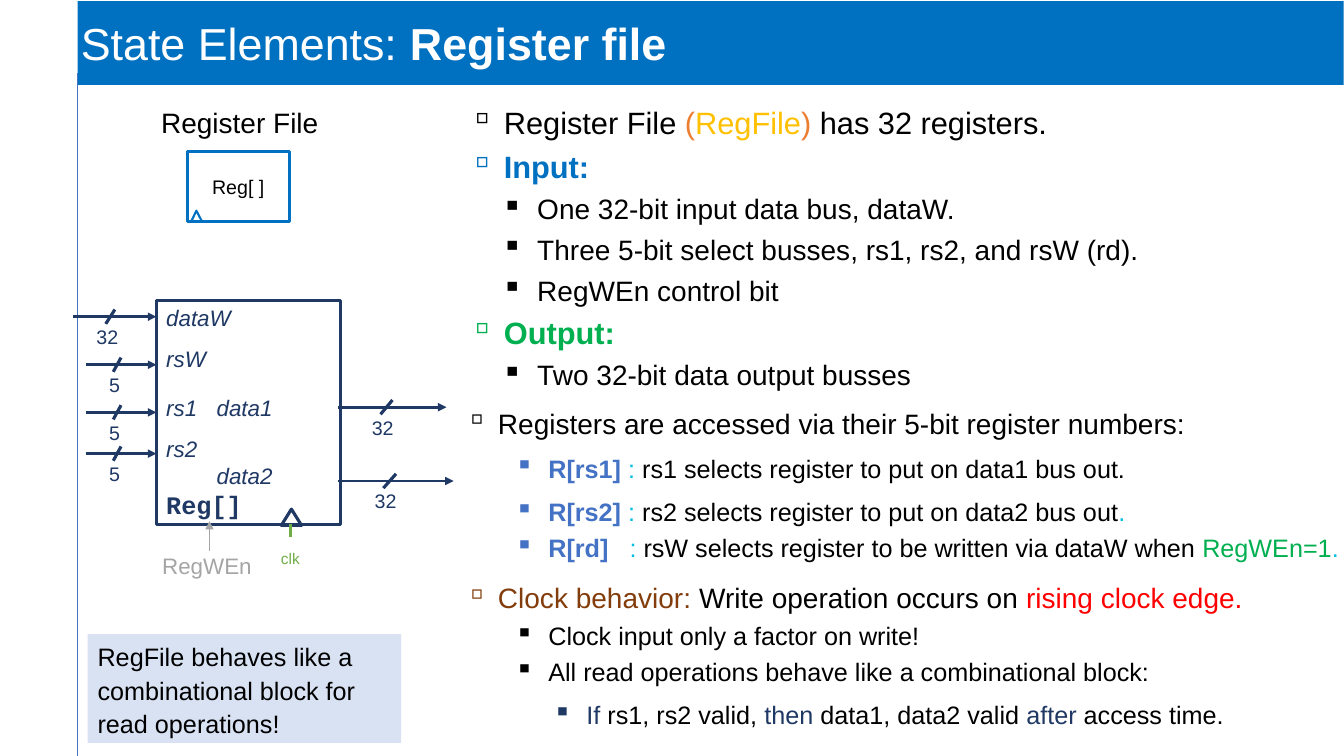
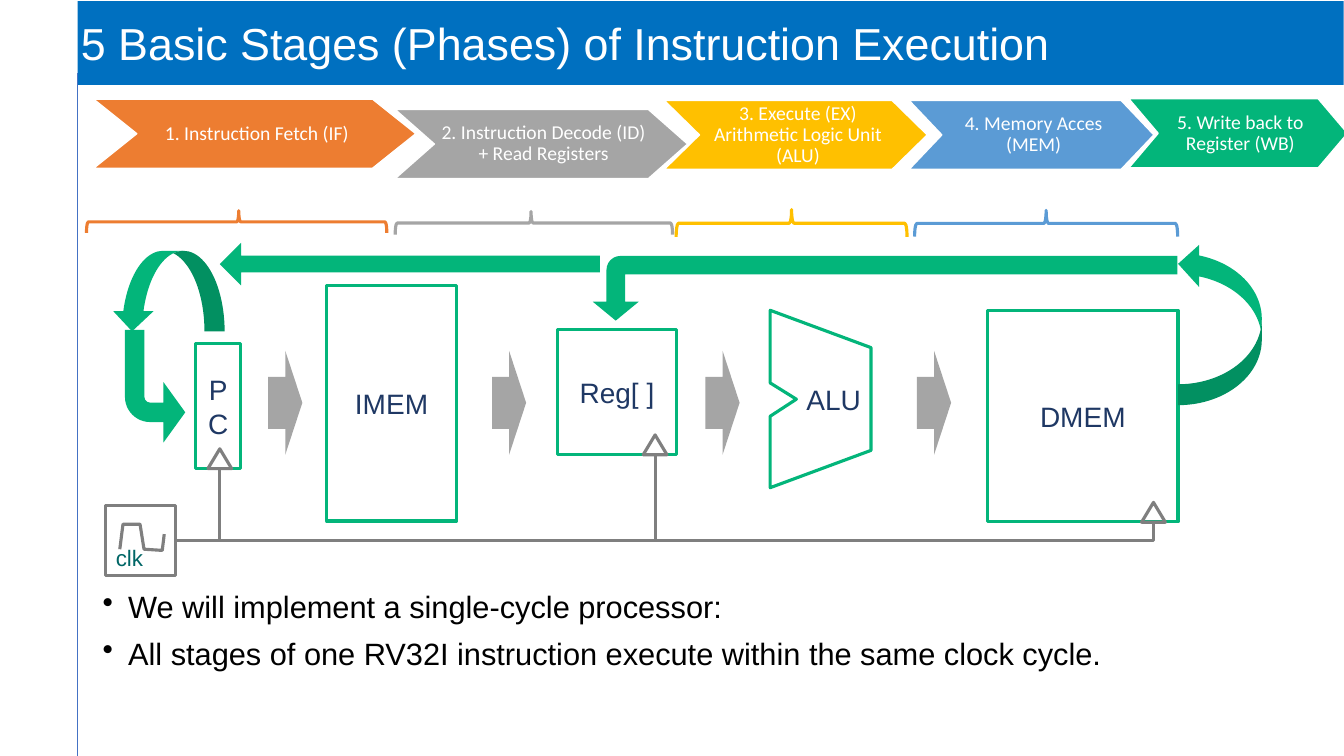
from lxml import etree
from pptx import Presentation
from pptx.dml.color import RGBColor
from pptx.enum.shapes import MSO_CONNECTOR, MSO_SHAPE
from pptx.enum.text import MSO_ANCHOR, PP_ALIGN
from pptx.oxml.ns import qn
from pptx.util import Cm, Pt

STRAIGHT, ELBOW = MSO_CONNECTOR.STRAIGHT, MSO_CONNECTOR.ELBOW
RECTANGLE, TRIANGLE = MSO_SHAPE.RECTANGLE, MSO_SHAPE.ISOSCELES_TRIANGLE
RIGHT_ARROW, LEFT_ARROW = MSO_SHAPE.RIGHT_ARROW, MSO_SHAPE.LEFT_ARROW
BENT_ARROW, BRACE = MSO_SHAPE.BENT_ARROW, MSO_SHAPE.RIGHT_BRACE
CURVED_RIGHT, CURVED_LEFT = MSO_SHAPE.CURVED_RIGHT_ARROW, MSO_SHAPE.CURVED_LEFT_ARROW
TOP, MIDDLE, BOTTOM = MSO_ANCHOR.TOP, MSO_ANCHOR.MIDDLE, MSO_ANCHOR.BOTTOM
LEFT, CENTER, RIGHT = PP_ALIGN.LEFT, PP_ALIGN.CENTER, PP_ALIGN.RIGHT
LEFT_SIDE = 1

BLACK = RGBColor(0x00, 0x00, 0x00)
WHITE = RGBColor(0xFF, 0xFF, 0xFF)
BLUE = RGBColor(0x00, 0x70, 0xC0)
ACCENT_BLUE = RGBColor(0x44, 0x72, 0xC4)
LIGHT_BLUE = RGBColor(0x5B, 0x9B, 0xD5)
PALE_BLUE = RGBColor(0xD8, 0xE2, 0xF3)
NAVY = RGBColor(0x1F, 0x38, 0x64)
CYAN = RGBColor(0x00, 0xBD, 0xE2)
ORANGE = RGBColor(0xED, 0x7D, 0x31)
GOLD = RGBColor(0xFF, 0xC0, 0x00)
BROWN = RGBColor(0x83, 0x3C, 0x0B)
RED = RGBColor(0xFF, 0x00, 0x00)
GREEN = RGBColor(0x00, 0xB0, 0x50)
LEAF_GREEN = RGBColor(0x70, 0xAD, 0x47)
EMERALD = RGBColor(0x03, 0xB5, 0x7A)
TEAL = RGBColor(0x00, 0x66, 0x66)
GRAY = RGBColor(0xA5, 0xA5, 0xA5)
DARK_GRAY = RGBColor(0x7F, 0x7F, 0x7F)

SLIDE_WIDTH, SLIDE_HEIGHT = 33.87, 19.05
BAND_LEFT = 1.96
INSETS = (0.25, 0.13, 0.25, 0.13)


def add_bullet(paragraph, character, color):
    properties = paragraph._p.get_or_add_pPr()
    bullet_color = etree.SubElement(properties, qn("a:buClr"))
    etree.SubElement(bullet_color, qn("a:srgbClr"), val=str(color))
    etree.SubElement(properties, qn("a:buChar"), char=character)


def write(frame, *runs, size, color=BLACK, bold=False, italic=False, font="Arial",
          align=LEFT, before=0, spacing=None, level=0, margin=0, indent=0,
          bullet=None, bullet_color=BLACK):
    """Add a paragraph; a run is a string or (text, color, bold, tracking in points)."""
    first = not frame.paragraphs[0].runs
    paragraph = frame.paragraphs[0] if first else frame.add_paragraph()
    paragraph.alignment, paragraph.level = align, level
    properties = paragraph._p.get_or_add_pPr()
    properties.set("marL", str(Cm(margin)))
    properties.set("indent", str(Cm(indent)))
    if bullet:
        add_bullet(paragraph, bullet, bullet_color)
    if spacing:
        paragraph.line_spacing = spacing
    if before and not first:
        paragraph.space_before = Pt(before)
    for item in runs:
        parts = (item,) if isinstance(item, str) else item
        text, run_color, run_bold, tracking = parts + (color, bold, 0)[len(parts) - 1:]
        run = paragraph.add_run()
        run.text = text
        run.font.name, run.font.size = font, Pt(size)
        run.font.bold, run.font.italic = run_bold, italic
        run.font.color.rgb = run_color
        if tracking:
            run.font._element.set("spc", str(tracking * 100))


class Deck:
    """Holds the shared style and the slide being drawn."""

    def __init__(self):
        self.presentation = Presentation()
        self.presentation.slide_width = Cm(SLIDE_WIDTH)
        self.presentation.slide_height = Cm(SLIDE_HEIGHT)
        self.slide = None

    def new_slide(self, *title_runs):
        self.slide = self.presentation.slides.add_slide(self.presentation.slide_layouts[6])
        band = self.shape(RECTANGLE, BAND_LEFT, 0.03, 31.9, 2.11, fill=BLUE, insets=(0.08,) * 4)
        write(band.text_frame, *title_runs, size=32, color=WHITE)
        self.line(BAND_LEFT, 1.85, BAND_LEFT, SLIDE_HEIGHT, ACCENT_BLUE, 0.75)

    def set_frame(self, frame, anchor, insets):
        frame.word_wrap = True
        frame.vertical_anchor = anchor
        (frame.margin_left, frame.margin_top,
         frame.margin_right, frame.margin_bottom) = map(Cm, insets)

    def paint(self, shape, fill, line, width):
        shape.shadow.inherit = False
        if fill is None:
            shape.fill.background()
        else:
            shape.fill.solid()
            shape.fill.fore_color.rgb = fill
        if line is None:
            shape.line.fill.background()
        else:
            shape.line.color.rgb = line
            shape.line.width = Pt(width)

    def shape(self, kind, left, top, width, height, fill=None, line=None,
              anchor=MIDDLE, insets=INSETS, rotation=0, flipped=False, adjustments=()):
        """Add a preset shape; left, top, width and height describe it as seen."""
        if rotation in (90, 270):
            left, top = left + (width - height) / 2, top + (height - width) / 2
            width, height = height, width
        shape = self.slide.shapes.add_shape(kind, Cm(left), Cm(top), Cm(width), Cm(height))
        self.paint(shape, fill, line, 2.25)
        self.set_frame(shape.text_frame, anchor, insets)
        shape.rotation = rotation
        if flipped:
            shape._element.spPr.find(qn("a:xfrm")).set("flipH", "1")
        for index, value in enumerate(adjustments):
            shape.adjustments[index] = value
        return shape

    def outline(self, points, close=True, fill=None, line=None, width=2.25, insets=INSETS):
        corners = [(Cm(x), Cm(y)) for x, y in points]
        builder = self.slide.shapes.build_freeform(*corners[0])
        builder.add_line_segments(corners[1:], close=close)
        shape = builder.convert_to_shape()
        self.paint(shape, fill, line, width)
        self.set_frame(shape.text_frame, MIDDLE, insets)
        return shape

    def text_box(self, left, top, width, height, insets=INSETS):
        box = self.slide.shapes.add_textbox(Cm(left), Cm(top), Cm(width), Cm(height))
        self.set_frame(box.text_frame, TOP, insets)
        return box.text_frame

    def line(self, x1, y1, x2, y2, color, width, arrow=False, elbow=False):
        connector = self.slide.shapes.add_connector(
            ELBOW if elbow else STRAIGHT, Cm(x1), Cm(y1), Cm(x2), Cm(y2))
        connector.line.color.rgb = color
        connector.line.width = Pt(width)
        properties = connector._element.spPr
        if elbow:
            properties.find(qn("a:prstGeom")).set("prst", "bentConnector2")
        if arrow:
            etree.SubElement(properties.find(qn("a:ln")), qn("a:tailEnd"), type="triangle")
        etree.SubElement(properties, qn("a:effectLst"))
        return connector

    def bus(self, start, end, y, bits):
        """Draw an arrow with a slash and its number of bits."""
        arrow = self.line(start, y, end, y, NAVY, 2, arrow=True)
        middle, length = (start + end) / 2, end - start
        self.line(middle, y - 0.18, middle - 0.11 * length, y + 0.18, NAVY, 2.25)
        label = self.text_box(middle - 0.09 * length - 0.65, y + 0.13, 1.3, 0.76,
                              insets=(0.15, 0.08, 0.15, 0.08))
        write(label, bits, size=14, color=NAVY, align=CENTER)
        return arrow

    def block(self, text, left, top, width, height):
        box = self.shape(RECTANGLE, left, top, width, height, line=EMERALD,
                         insets=(0.18, 0.1, 0.18, 0.1))
        write(box.text_frame, text, size=20, color=NAVY, align=CENTER)

    def chevron(self, text, left, top, width, color):
        height, notch = 1.74, 0.134 * width
        right, middle, bottom = left + width, top + height / 2, top + height
        shape = self.outline(
            [(left, top), (right - notch, top), (right, middle), (right - notch, bottom),
             (left, bottom), (left + notch, middle)],
            fill=color, line=WHITE, width=1, insets=(1.02, 0.05, 0.91, 0.05))
        write(shape.text_frame, text, size=14, color=WHITE, font="Calibri",
              align=CENTER, spacing=0.9)


def draw_register_diagram(deck):
    write(deck.text_box(3.58, 2.54, 7.52, 1.3), "Register File", size=20, margin=0.23)
    symbol = deck.shape(RECTANGLE, 4.72, 3.81, 2.57, 1.78, line=BLUE)
    write(symbol.text_frame, "Reg[ ]", size=14, align=CENTER)
    deck.outline([(4.83, 5.56), (4.95, 5.31), (5.08, 5.56)], close=False, line=BLUE, width=1.5)

    registers = deck.shape(RECTANGLE, 3.94, 7.57, 4.65, 5.64, line=NAVY, anchor=BOTTOM)
    for text, before in (("dataW", 0), ("rsW", 10), ("rs1\tdata1", 16), ("rs2", 10),
                         ("\tdata2", 0)):
        write(registers.text_frame, text, size=16, color=NAVY, italic=True, before=before)
    write(registers.text_frame, "Reg[]", size=18, color=NAVY, bold=True, font="Courier New")

    deck.shape(TRIANGLE, 7.09, 12.83, 0.51, 0.41, line=NAVY)
    write(deck.text_box(6.83, 13.72, 1.6, 0.74), "clk", size=11, color=LEAF_GREEN)
    deck.line(7.32, 13.54, 7.32, 13.21, LEAF_GREEN, 1.5)

    for start, end, y, bits in ((1.85, 3.94, 7.98, "32"), (2.16, 3.94, 9.19, "5"),
                                (2.16, 3.94, 11.43, "5"), (8.53, 11.25, 10.26, "32"),
                                (8.53, 11.43, 12.12, "32")):
        deck.bus(start, end, y, bits)
    deck.bus(2.16, 3.94, 10.39, "5").end_connect(registers, LEFT_SIDE)

    write(deck.text_box(3.4, 13.89, 3.63, 0.84), "RegWEn", size=16, color=GRAY,
          align=CENTER, spacing=0.85)
    deck.line(5.28, 13.89, 5.28, 13.13, GRAY, 1, arrow=True)
    note = deck.shape(RECTANGLE, 2.21, 15.98, 7.9, 2.74, fill=PALE_BLUE)
    write(note.text_frame, "RegFile behaves like a combinational block for read operations!",
          size=18, spacing=1.1)


def draw_register_notes(deck):
    body = deck.text_box(11.18, 2.49, 23.19, 16)
    point = dict(size=22, level=1, margin=1.27, indent=-0.89, bullet="▫", before=5)
    detail = dict(size=20, level=2, margin=2.11, indent=-0.89, bullet="▪", before=5)
    loose_point = dict(size=20, level=1, margin=1.12, indent=-0.84, bullet="▫", spacing=1.2)
    loose_detail = dict(size=18, level=2, margin=2.39, indent=-0.84, bullet="▪", spacing=1.2)
    colon, period = (": ", CYAN), (".", CYAN)

    write(body, "Register File ", ("(", ORANGE), ("RegFile", GOLD), (") ", ORANGE),
          "has 32 registers.", **point)
    write(body, "Input:", color=BLUE, bold=True, bullet_color=BLUE, **point)
    for text in ("One 32-bit input data bus, dataW.",
                 "Three 5-bit select busses, rs1, rs2, and rsW (rd).",
                 "RegWEn control bit"):
        write(body, text, **detail)
    write(body, "Output:", color=GREEN, bold=True, bullet_color=GREEN, **point)
    write(body, "Two 32-bit data output busses", **detail)

    write(body, "Registers are accessed via their 5-bit register numbers:",
          before=6, **loose_point)
    write(body, ("R[rs1] ", ACCENT_BLUE, True), colon,
          "rs1 selects register to put on data1 bus out.",
          before=5, bullet_color=ACCENT_BLUE, **loose_detail)
    write(body, ("R[rs2] ", ACCENT_BLUE, True), colon,
          "rs2 selects register to put on data2 bus out", period,
          before=5, bullet_color=ACCENT_BLUE, **loose_detail)
    write(body, ("R[rd]", ACCENT_BLUE, True), (" ", ACCENT_BLUE, True, 10), colon,
          "rsW selects register to be written via dataW when ", ("RegWEn=1", GREEN), period,
          bullet_color=ACCENT_BLUE, **loose_detail)

    write(body, ("Clock behavior: ", BROWN), "Write operation occurs on ",
          ("rising clock edge.", RED), before=8, bullet_color=BROWN, **loose_point)
    write(body, "Clock input only a factor on write!", **loose_detail)
    write(body, "All read operations behave like a combinational block:", **loose_detail)
    deepest = {**loose_detail, "level": 4, "margin": 3.35}
    write(body, ("If", NAVY), " rs1, rs2 valid, ", ("then", NAVY), " data1, data2 valid ",
          ("after", NAVY), " access time.", before=5, bullet_color=NAVY, **deepest)


def draw_datapath(deck):
    for text, *place in (("PC", 4.93, 8.66, 1.14, 3.15), ("Reg[ ]", 14.05, 8.31, 3, 3.15),
                         ("DMEM", 24.89, 7.82, 4.8, 5.33), ("IMEM", 8.23, 7.19, 3.28, 5.94)):
        deck.block(text, *place)
    alu = deck.outline([(19.41, 7.82), (19.41, 9.65), (20.07, 10.06), (19.41, 10.49),
                        (19.41, 12.29), (21.95, 11.35), (21.95, 8.76)], line=EMERALD)
    write(alu.text_frame, "ALU", size=20, color=NAVY, align=RIGHT)
    for left in (6.76, 12.4, 17.78, 23.11):
        deck.shape(RIGHT_ARROW, left, 8.84, 0.86, 2.62, fill=GRAY)

    deck.shape(CURVED_RIGHT, 2.82, 6.32, 2.84, 2.03, fill=EMERALD, rotation=90)
    deck.shape(BENT_ARROW, 3.15, 8.31, 1.52, 2.84, fill=EMERALD, rotation=180, flipped=True,
               adjustments=(0.322, 0.5, 0.361, 0.417))
    deck.shape(CURVED_LEFT, 29.69, 6.12, 2.11, 4.09, fill=EMERALD, rotation=180, flipped=True)
    deck.shape(BENT_ARROW, 14.94, 6.45, 14.73, 1.63, fill=EMERALD, rotation=270, flipped=True,
               adjustments=(0.287, 0.355, 0.292, 0.215))
    deck.shape(LEFT_ARROW, 5.54, 6.12, 9.58, 1.07, fill=EMERALD, adjustments=(0.393, 0.5))


def draw_clock(deck):
    deck.outline([(3.02, 13.84), (3.1, 13.21), (3.53, 13.21), (3.63, 13.84), (4.09, 13.87),
                  (4.14, 13.46)], close=False, line=DARK_GRAY)
    clock = deck.shape(RECTANGLE, 2.67, 12.73, 1.75, 1.78, line=DARK_GRAY, anchor=BOTTOM)
    write(clock.text_frame, "clk", size=16, color=TEAL)
    for x, y in ((5.54, 11.81), (16.51, 11.46), (29.07, 13.16)):
        deck.line(4.42, 13.63, x, y, DARK_GRAY, 2, elbow=True)
        deck.shape(TRIANGLE, x - 0.3, y - 0.5, 0.6, 0.5, line=DARK_GRAY)


def draw_stages(deck):
    for color, tip, *place in ((ORANGE, 0.507, 2.18, 5.31, 7.57, 0.56),
                               (GRAY, 0.49, 9.96, 5.33, 6.99, 0.58),
                               (GOLD, 0.5, 17.04, 5.28, 5.82, 0.69),
                               (LIGHT_BLUE, 0.5, 23.05, 5.3, 6.63, 0.66)):
        deck.shape(BRACE, *place, line=color, rotation=270, adjustments=(0.083, tip))
    for text, left, top, width, color in (
            ("1. Instruction Fetch (IF)", 2.36, 2.5, 8.12, ORANGE),
            ("2. Instruction Decode (ID) + Read Registers", 9.96, 2.76, 7.37, GRAY),
            ("3. Execute (EX) Arithmetic Logic Unit (ALU)", 16.74, 2.53, 6.63, GOLD),
            ("4. Memory Acces (MEM)", 22.91, 2.53, 6.17, LIGHT_BLUE),
            ("5. Write back to Register (WB)", 28.45, 2.49, 5.51, EMERALD)):
        deck.chevron(text, left, top, width, color)
    body = deck.text_box(2.34, 14.78, 29.21, 3.81)
    for text in ("We will implement a single-cycle processor:",
                 "All stages of one RV32I instruction execute within the same clock cycle."):
        write(body, text, size=22, margin=0.64, indent=-0.64, bullet="•", spacing=0.9, before=10)


def main():
    deck = Deck()
    deck.new_slide("State Elements: ", ("Register file", WHITE, True))
    draw_register_diagram(deck)
    draw_register_notes(deck)
    deck.new_slide("5 Basic Stages (Phases) of Instruction Execution")
    draw_datapath(deck)
    draw_clock(deck)
    draw_stages(deck)
    deck.presentation.save("out.pptx")


if __name__ == "__main__":
    main()
